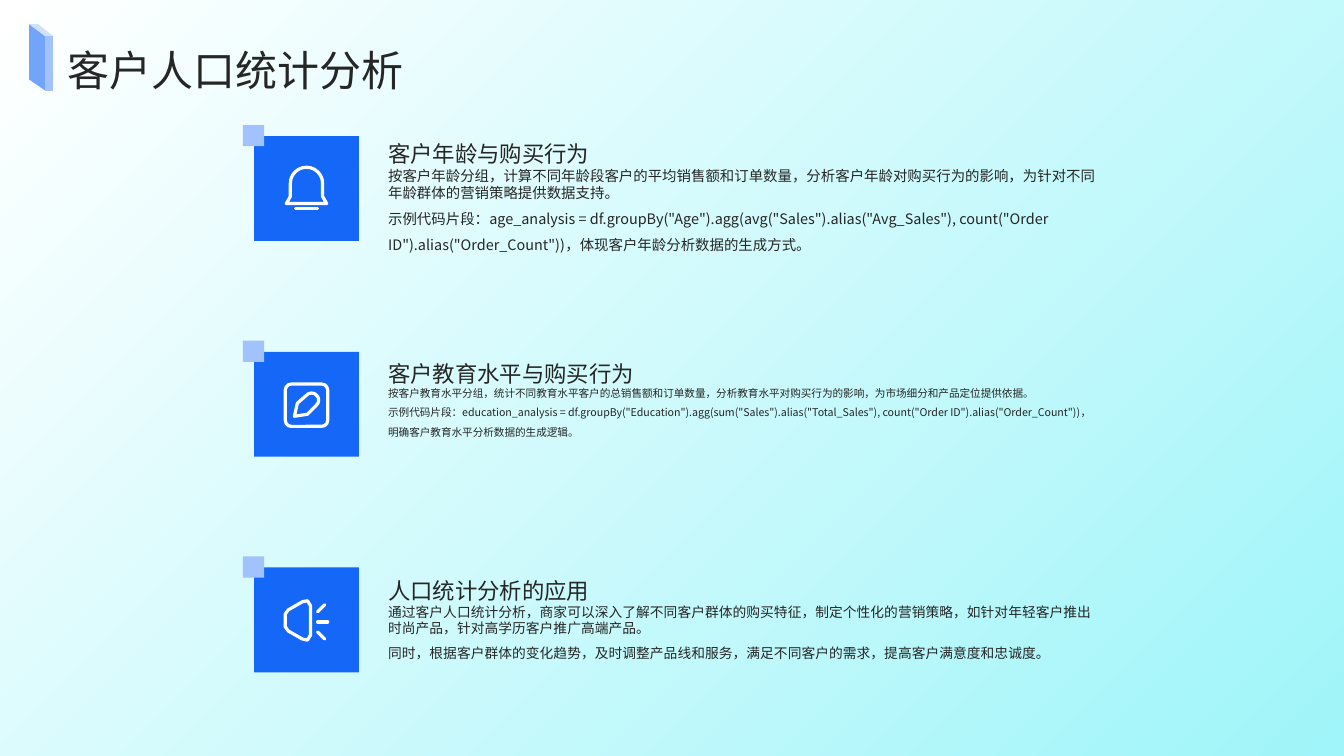
"""Build the customer demographics slide."""
import math
from pptx import Presentation, util as u
from pptx.dml.color import RGBColor
from pptx.enum import shapes as es, text as et
from pptx.oxml import parse_xml
from pptx.oxml.ns import nsdecls

FONT, INK, BLUE, PALE, WHITE = "Noto Sans CJK SC", "262626", "1467F7", "A1C2FC", "FFFFFF"
BOX = es.MSO_SHAPE.RECTANGLE
inch = u.Inches

prs = Presentation()
prs.slide_width, prs.slide_height = inch(13.33), inch(7.5)
slide = prs.slides.add_slide(prs.slide_layouts[5])
tree = slide.shapes


def paint(shape, fill=None):
    """Give a shape a plain fill, or without one the white stroke of an icon."""
    if fill:
        shape.fill.solid()
        shape.fill.fore_color.rgb = RGBColor.from_string(fill)
        shape.line.fill.background()
    else:
        shape.line.color.rgb = RGBColor.from_string(WHITE)
        shape.line.width = u.Pt(2.3)
        stroke = shape.line._get_or_add_ln()
        stroke.set("cap", "rnd")
        stroke.append(parse_xml(f"<a:round {nsdecls('a')}/>"))
    if hasattr(shape, "shadow"):
        shape.shadow.inherit = False
    else:
        shape._element.spPr.append(parse_xml(f"<a:effectLst {nsdecls('a')}/>"))


def write(shape, spot, anchor, lines):
    """Place a text shape and fill it with (text, size, spacing) lines."""
    shape.left, shape.top, shape.width, shape.height = map(inch, spot)
    frame = shape.text_frame
    frame.word_wrap = True
    frame.auto_size = et.MSO_AUTO_SIZE.NONE
    frame.vertical_anchor = anchor
    frame.margin_left = frame.margin_right = frame.margin_top = frame.margin_bottom = 0
    for i, (words, size, gap) in enumerate(lines):
        para = frame.add_paragraph() if i else frame.paragraphs[0]
        para.alignment = et.PP_ALIGN.LEFT
        para.line_spacing = gap
        run = para.add_run()
        run.text = words
        run.font.size = u.Pt(size)
        run.font.name = FONT
        run.font.color.rgb = RGBColor.from_string(INK)
        run._r.get_or_add_rPr().find("{*}latin").addnext(
            parse_xml(f'<a:ea {nsdecls("a")} typeface="{FONT}"/>'))


back = tree.add_shape(BOX, 0, 0, prs.slide_width, prs.slide_height)
paint(back, WHITE)
back.fill.gradient()
back.fill.gradient_angle = 315
for stop, (tone, place) in zip(back.fill.gradient_stops, [(WHITE, 0), ("9FF5F9", 1)]):
    stop.color.rgb = RGBColor.from_string(tone)
    stop.position = place
tree._spTree.insert(2, back._element)

write(tree.title, (0.67, 0.39, 11.82, 0.5), et.MSO_ANCHOR.TOP, [("客户人口统计分析", 30, 1.1)])

rows = [
    (1.66, 0.86, 10.3, "客户年龄与购买行为",
     "按客户年龄分组，计算不同年龄段客户的平均销售额和订单数量，分析客户年龄对购买行为的影响，为针对不同年龄群体的营销策略提供数据支持。",
     '示例代码片段：age_analysis = df.groupBy("Age").agg(avg("Sales").alias("Avg_Sales"), count("Order ID").alias("Order_Count"))，体现客户年龄分析数据的生成方式。'),
    (3.84, 0.71, 7.6, "客户教育水平与购买行为",
     "按客户教育水平分组，统计不同教育水平客户的总销售额和订单数量，分析教育水平对购买行为的影响，为市场细分和产品定位提供依据。",
     '示例代码片段：education_analysis = df.groupBy("Education").agg(sum("Sales").alias("Total_Sales"), count("Order ID").alias("Order_Count"))，明确客户教育水平分析数据的生成逻辑。'),
    (5.99, 0.71, 9.8, "人口统计分析的应用",
     "通过客户人口统计分析，商家可以深入了解不同客户群体的购买特征，制定个性化的营销策略，如针对年轻客户推出时尚产品，针对高学历客户推广高端产品。",
     "同时，根据客户群体的变化趋势，及时调整产品线和服务，满足不同客户的需求，提高客户满意度和忠诚度。"),
]
for i, (top, high, size, head, lead, more) in enumerate(rows):
    tile = 1.35 + 2.14 * i
    for x, y, side, tone in [(2.52, tile, 1.04, BLUE), (2.41, tile - 0.11, 0.21, PALE)]:
        paint(tree.add_shape(BOX, *map(inch, (x, y, side, side))), tone)
    write(tree.add_textbox(0, 0, 0, 0), (3.85, top, 7.06, high), et.MSO_ANCHOR.TOP,
          [(lead, size, u.Pt(round(size * 1.18, 1))), (more, size, u.Pt(round(size * 1.81, 1)))])
    write(tree.add_textbox(0, 0, 0, 0), (3.85, top - 0.4, 7.06, 0.4), et.MSO_ANCHOR.BOTTOM,
          [(head, 16, 1.3)])

arcs = []
for x, y, r, start in [(3.04, 1.82, 0.16, 180), (3.09, 3.97, 0.07, 225)]:
    turns = [math.radians(start + 15 * k) for k in range(13)]
    arcs.append([(x + r * math.cos(t), y + r * math.sin(t)) for t in turns])
dome, tip = arcs
outlines = [
    ("72A4FA", [(0.29, 0.24), (0.45, 0.36), (0.45, 0.9), (0.29, 0.79)]),
    ("D0E1FD", [(0.29, 0.24), (0.38, 0.24), (0.53, 0.36), (0.45, 0.36)]),
    (PALE, [(0.45, 0.36), (0.53, 0.36), (0.53, 0.9), (0.45, 0.9)]),
    (None, [(2.84, 2.02), (2.88, 1.95), *dome, (3.2, 1.95), (3.24, 2.02)]),
    (None, [(2.92, 4.13), (2.95, 4), *tip, (3.05, 4.11)]),
    (None, [(2.83, 6.09), (2.86, 6.05), (3, 5.97), (3.05, 5.96), (3.08, 6.01),
            (3.08, 6.3), (3.05, 6.35), (3, 6.34), (2.86, 6.26), (2.83, 6.22)]),
]
for tone, pts in outlines:
    grid = [(round(x * 1000), round(y * 1000)) for x, y in pts]
    form = tree.build_freeform(*grid[0], scale=inch(1) / 1000)
    form.add_line_segments(grid[1:])
    shape = form.convert_to_shape()
    shape.fill.background()
    paint(shape, tone)

frame = tree.add_shape(es.MSO_SHAPE.ROUNDED_RECTANGLE, *map(inch, (2.83, 3.81, 0.42, 0.42)))
frame.adjustments[0] = 0.14
frame.fill.background()
paint(frame)

strokes = [(2.93, 2.07, 3.15, 2.07), (3.15, 6.07, 3.22, 6), (3.15, 6.17, 3.25, 6.17), (3.15, 6.27, 3.22, 6.34)]
for ends in strokes:
    paint(tree.add_connector(es.MSO_CONNECTOR.STRAIGHT, *map(inch, ends)))

prs.save("out.pptx")
